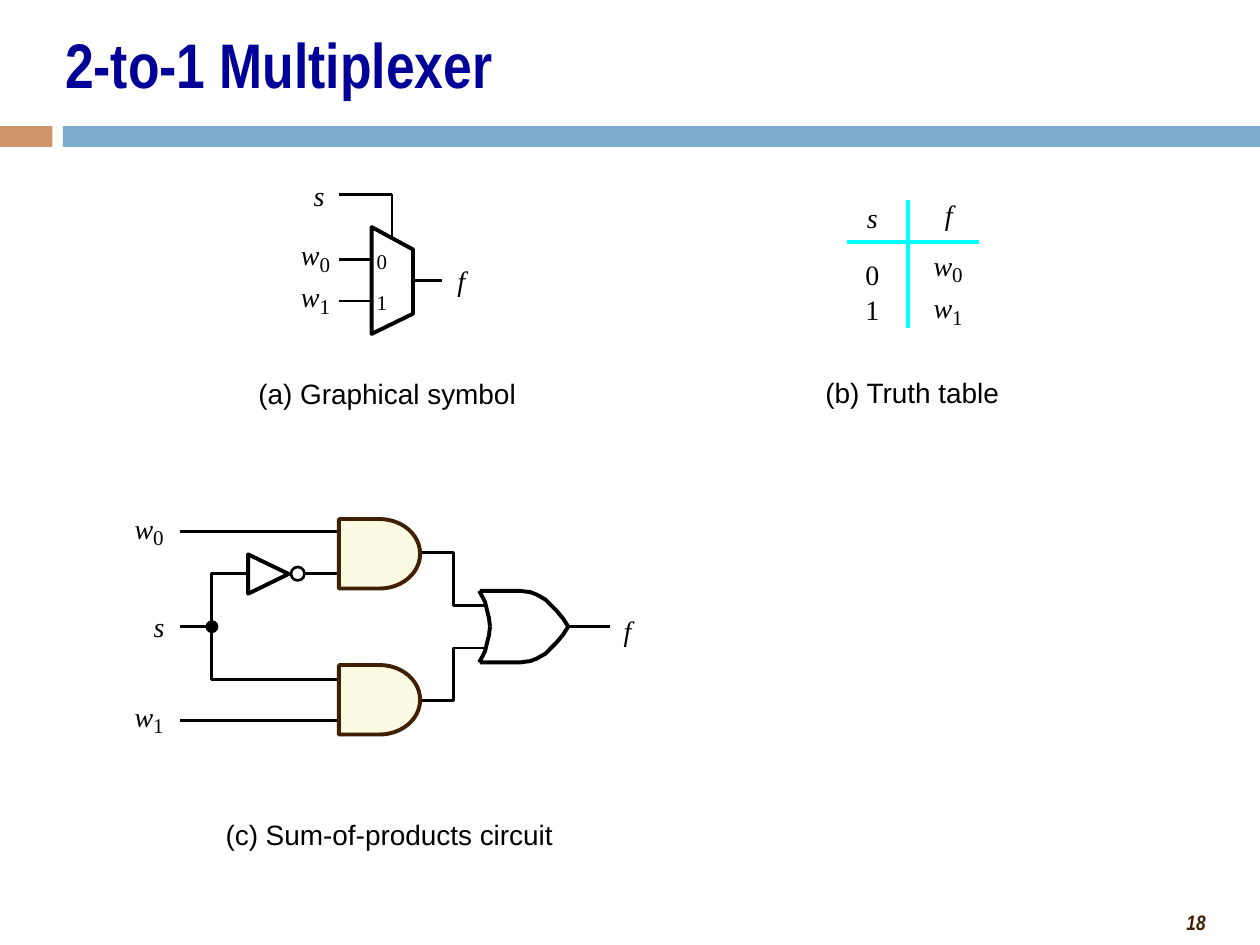
from typing import NamedTuple, Optional, Sequence

from lxml.etree import SubElement
from pptx import Presentation
from pptx.dml.color import RGBColor
from pptx.enum.shapes import MSO_CONNECTOR, MSO_SHAPE as Preset
from pptx.enum.text import MSO_ANCHOR, MSO_AUTO_SIZE, PP_ALIGN
from pptx.oxml.ns import qn
from pptx.util import Pt

BLACK = RGBColor(0x00, 0x00, 0x00)
NAVY = RGBColor(0x00, 0x00, 0x99)
BROWN = RGBColor(0x40, 0x20, 0x00)
CREAM = RGBColor(0xFB, 0xFA, 0xE2)
CYAN = RGBColor(0x00, 0xFF, 0xFF)
ORANGE = RGBColor(0xCF, 0x94, 0x67)
BLUE = RGBColor(0x7A, 0xAD, 0xCC)
SERIF, SANS, NARROW = "Times New Roman", "Arial", "Arial Narrow"
THIN, THICK = 1.5, 2.25

Point = tuple[float, float]


class Label(NamedTuple):
    text: str
    x: float
    y: float
    width: float
    italic: bool = False
    size: float = 16
    font: str = SERIF


class Wire(NamedTuple):
    start: Point
    end: Point
    color: RGBColor = BLACK
    weight: float = THIN


class Outline(NamedTuple):
    points: Sequence[Point]
    weight: float = THIN
    closed: bool = False


class Block(NamedTuple):
    preset: Preset
    x: float
    y: float
    width: float
    height: float
    fill: Optional[RGBColor] = None
    line: Optional[RGBColor] = None
    weight: float = THIN


def paint(shape, fill: Optional[RGBColor], line: Optional[RGBColor], weight: float) -> None:
    shape.shadow.inherit = False
    if fill is None:
        shape.fill.background()
    else:
        shape.fill.solid()
        shape.fill.fore_color.rgb = fill
    if line is None:
        shape.line.fill.background()
    else:
        shape.line.color.rgb = line
        shape.line.width = Pt(weight)


def draw_block(slide, block: Block) -> None:
    shape = slide.shapes.add_shape(
        block.preset, Pt(block.x), Pt(block.y), Pt(block.width), Pt(block.height))
    paint(shape, block.fill, block.line, block.weight)


def draw_wire(slide, wire: Wire) -> None:
    ends = [Pt(value) for value in (*wire.start, *wire.end)]
    connector = slide.shapes.add_connector(MSO_CONNECTOR.STRAIGHT, *ends)
    connector.line.color.rgb = wire.color
    connector.line.width = Pt(wire.weight)
    SubElement(connector._element.spPr, qn("a:effectLst"))


def draw_outline(slide, outline: Outline) -> None:
    points = [(Pt(x), Pt(y)) for x, y in outline.points]
    builder = slide.shapes.build_freeform(*points[0])
    builder.add_line_segments(points[1:], close=outline.closed)
    paint(builder.convert_to_shape(), None, BLACK, outline.weight)


def style(paragraph, font: str, size: float, color: RGBColor, bold=False, italic=False) -> None:
    for run in paragraph.runs:
        run.font.name = font
        run.font.size = Pt(size)
        run.font.color.rgb = color
        run.font.bold = bold
        run.font.italic = italic


def draw_label(slide, label: Label) -> None:
    box = slide.shapes.add_textbox(
        Pt(label.x), Pt(label.y), Pt(label.width), Pt(label.size * 1.2))
    frame = box.text_frame
    frame.margin_left = frame.margin_right = frame.margin_top = frame.margin_bottom = 0
    frame.word_wrap = False
    frame.text = label.text
    style(frame.paragraphs[0], label.font, label.size, BLACK, italic=label.italic)


def input_name(index: int, x: float, y: float) -> list[Label]:
    """The letter w with its lowered index."""
    return [Label("w", x, y, 11.5, True),
            Label(str(index), x + 10.6, y + 7.6, 7.2, size=12)]


def mirrored(points: Sequence[Point], axis: float) -> list[Point]:
    return [(x, 2 * axis - y) for x, y in points]


def main() -> None:
    presentation = Presentation()
    presentation.slide_width, presentation.slide_height = Pt(720), Pt(540)
    slide = presentation.slides.add_slide(presentation.slide_layouts[5])

    # Title, bands and page number
    draw_block(slide, Block(Preset.RECTANGLE, 0, 72, 30, 12, ORANGE))
    draw_block(slide, Block(Preset.RECTANGLE, 36, 72, 684, 12, BLUE))
    title = slide.shapes.title
    title.left, title.top, title.width, title.height = Pt(30), Pt(6), Pt(660), Pt(60)
    title.text_frame.text = "2-to-1 Multiplexer"
    title.text_frame.auto_size = MSO_AUTO_SIZE.NONE
    title.text_frame.vertical_anchor = MSO_ANCHOR.MIDDLE
    heading = title.text_frame.paragraphs[0]
    heading.alignment = PP_ALIGN.LEFT
    style(heading, NARROW, 36, NAVY, bold=True)
    number = slide.shapes.add_textbox(Pt(540), Pt(516), Pt(156), Pt(21.6)).text_frame
    number.word_wrap = True
    number.text = "18"
    number.paragraphs[0].alignment = PP_ALIGN.RIGHT
    style(number.paragraphs[0], NARROW, 12, BROWN, bold=True, italic=True)

    # Graphical symbol
    wires = [
        Wire((193.7, 111), (224, 111)),
        Wire((224, 111), (224, 136.5)),
        Wire((193.7, 148.4), (212.4, 148.4)),
        Wire((193.7, 172), (212.4, 172)),
        Wire((236, 160.2), (252.7, 160.2)),
    ]
    outlines = [Outline([(236, 179.3), (236, 142.6), (212.4, 129.8), (212.4, 190.8)],
                        THICK, True)]
    labels = [
        Label("s", 179.3, 102.2, 7.2, True),
        Label("f", 261.4, 150.5, 5, True),
        Label("0", 215.3, 141.8, 7.2, size=12),
        Label("1", 215.3, 165.6, 7.2, size=12),
        *input_name(0, 172, 136),
        *input_name(1, 172, 160),
        Label("(a) Graphical symbol", 147.6, 215.3, 147.6, font=SANS),
    ]

    # Truth table
    wires += [
        Wire((559.4, 138.2), (483.8, 138.2), CYAN, THICK),
        Wire((519.1, 187.2), (519.1, 114.5), CYAN, THICK),
    ]
    labels += [
        Label("s", 495.4, 114.5, 7.2, True),
        Label("f", 540, 113, 5, True),
        Label("0", 494.6, 146.9, 9.4),
        Label("1", 494.6, 167, 9.4),
        *input_name(0, 533.5, 142),
        *input_name(1, 533.5, 166.2),
        Label("(b) Truth table", 471.6, 214.6, 100, font=SANS),
    ]

    # Sum-of-products circuit: wires, inverter and AND gates
    axis = 358.1
    gate_left = 193.7
    wires += [
        Wire((103, 303.8), (gate_left, 303.8)),
        Wire((103, 411.8), (gate_left, 411.8)),
        Wire((103, axis), (121, axis)),
        Wire((gate_left, 327.6), (173.9, 327.6)),
        Wire((348.5, axis), (324.7, axis)),
    ]
    and_output = [(276.5, 346), (259.2, 346), (259.2, 315.8), (241.2, 315.8)]
    outlines += [
        Outline(and_output),
        Outline(mirrored(and_output, axis)),
        Outline([(141.8, 327.6), (121, 327.6), (121, 388.4), (gate_left, 388.4)]),
        Outline([(165, 328), (141.8, 339.3), (141.8, 316.8)], THICK, True),
    ]
    blocks = [Block(Preset.OVAL, 118.2, 355.2, 5.8, 5.8, BLACK, BLACK),
              Block(Preset.OVAL, 166.3, 324, 7.7, 7.7, None, BLACK)]
    blocks += [Block(Preset.FLOWCHART_DELAY, gate_left, top, 46.4, 39.7, CREAM, BROWN, THICK)
               for top in (296.6, 380)]

    # OR gate: upper halves of front and back, mirrored below the axis
    front = [(274.3, 337.7), (297.4, 337.7), (303, 338.4), (306.7, 339.8), (311.8, 342.7),
             (314.6, 345.6), (318.2, 349.2), (321.8, 353.5), (324.7, axis)]
    back = [(273.8, 337.7), (275.8, 341.3), (277.2, 344.2), (278.6, 350),
            (279.4, 353), (280, axis)]
    for half in (front, back):
        outlines += [Outline(half, THICK), Outline(mirrored(half, axis), THICK)]

    labels += [
        Label("f", 356.4, 350.6, 5, True),
        Label("s", 87.8, 348.5, 7.2, True),
        *input_name(0, 77, 292.2),
        *input_name(1, 77, 399.8),
        Label("(c) Sum-of-products circuit", 128.9, 467.3, 187.2, font=SANS),
    ]

    for wire in wires:
        draw_wire(slide, wire)
    for outline in outlines:
        draw_outline(slide, outline)
    for block in blocks:
        draw_block(slide, block)
    for label in labels:
        draw_label(slide, label)
    presentation.save("out.pptx")


if __name__ == "__main__":
    main()
